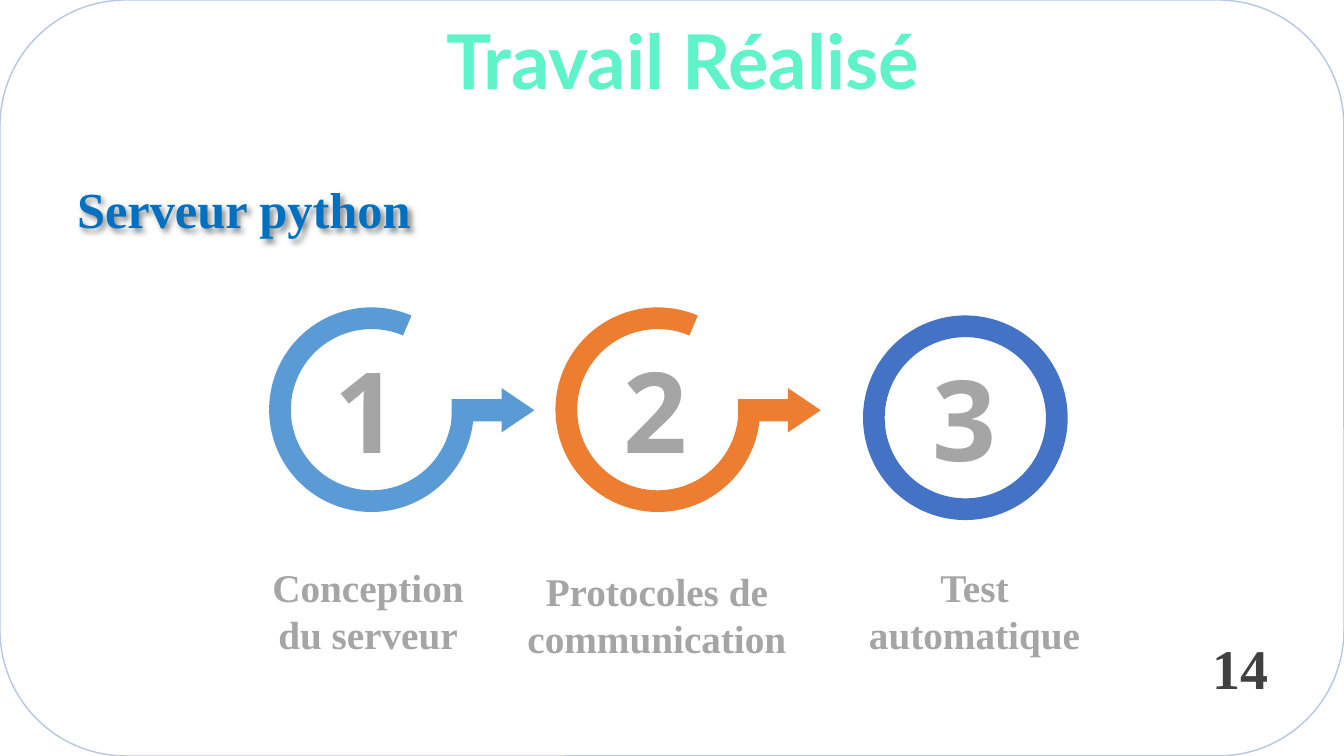
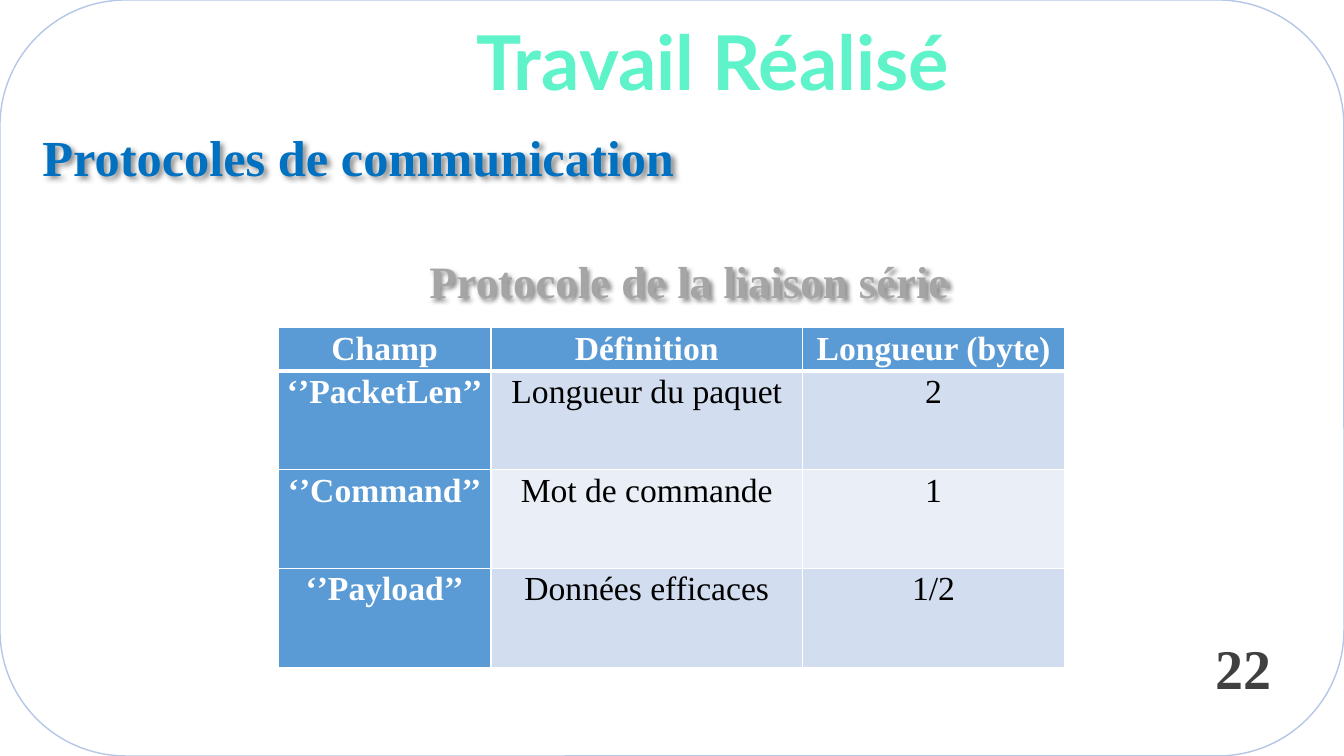
"""Build two slides on the Python server and its communication protocols."""
from dataclasses import dataclass

import pptx
import pptx.dml.color
import pptx.enum.shapes
import pptx.enum.text
import pptx.oxml
import pptx.oxml.ns
import pptx.util
from pptx.util import Inches

SHAPE = pptx.enum.shapes.MSO_SHAPE
ALIGN = pptx.enum.text.PP_ALIGN
ANCHOR = pptx.enum.text.MSO_ANCHOR
NAMESPACE = pptx.oxml.ns.nsdecls("a")


@dataclass(frozen=True)
class Theme:
    serif: str = "Times New Roman"
    title_font: str = "Lato"
    digit_font: str = "Open Sans"
    title: str = "5FF3CA"
    heading: str = "0070C0"
    grey: str = "A5A5A5"
    number: str = "404040"
    border: str = "B4C7E7"
    blue: str = "5B9BD5"
    orange: str = "ED7D31"
    indigo: str = "4472C4"
    white: str = "FFFFFF"
    black: str = "000000"
    band_dark: str = "D2DEEF"
    band_light: str = "EAEFF7"
    title_size: int = 54
    digit_size: int = 80
    number_size: int = 40
    heading_size: int = 36
    caption_size: int = 32
    label_size: int = 28
    table_size: int = 24


THEME = Theme()
WIDTH, HEIGHT = 13.33, 7.5
TITLE = "Travail Réalisé"

STEPS = [
    {"label": "Conception du serveur", "color": THEME.blue, "ring": (2.67, 3.05),
     "digit_left": 2.67, "label_at": (2.41, 5.54, 2.48, 1.04), "arrow": True},
    {"label": "Protocoles de communication", "color": THEME.orange, "ring": (5.51, 3.05),
     "digit_left": 5.54, "label_at": (5.11, 5.58, 2.81, 1.04), "arrow": True},
    {"label": "Test automatique", "color": THEME.indigo, "ring": (8.56, 3.13),
     "digit_left": 8.6, "label_at": (8.41, 5.54, 2.51, 1.04), "arrow": False},
]
RING_SIZE = 2.03
RING_END, RING_THICKNESS = 175.81, 0.106
OPEN_START, CLOSED_START = 215.7, 175.93

FIELDS = [
    ("Champ", "Définition", "Longueur (byte)"),
    ("‘’PacketLen’’", "Longueur du paquet", "2"),
    ("‘’Command’’", "Mot de commande", "1"),
    ("‘’Payload’’", "Données efficaces", "1/2"),
]
COLUMN_WIDTHS = (2.11, 3.09, 2.6)
HEADER_HEIGHT, ROW_HEIGHT = 0.42, 0.98


def rgb(color):
    return pptx.dml.color.RGBColor.from_string(color)


def inches(values):
    return [Inches(value) for value in values]


def style(para, size, color, font=THEME.serif, bold=True, align=ALIGN.CENTER):
    para.alignment = align
    para.font.name = font
    para.font.size = pptx.util.Pt(size)
    para.font.bold = bold
    para.font.color.rgb = rgb(color)


def add_text(page, at, text, size, color, font=THEME.serif, align=ALIGN.CENTER, wrap=True):
    box = page.shapes.add_textbox(*inches(at))
    box.text_frame.word_wrap = wrap
    box.text_frame.text = text
    style(box.text_frame.paragraphs[0], size, color, font, align=align)
    return box


def add_shadow(box, blur, distance):
    effect = (
        f'<a:effectLst {NAMESPACE}><a:outerShdw blurRad="{pptx.util.Pt(blur)}" '
        f'dist="{pptx.util.Pt(distance)}" dir="2700000" algn="tl" rotWithShape="0">'
        '<a:srgbClr val="000000"><a:alpha val="43000"/></a:srgbClr>'
        '</a:outerShdw></a:effectLst>'
    )
    box.element.spPr.append(pptx.oxml.parse_xml(effect))


def add_filled(shapes, kind, at, color, adjustments):
    shape = shapes.add_shape(kind, *inches(at))
    shape.shadow.inherit = False
    shape.fill.solid()
    shape.fill.fore_color.rgb = rgb(color)
    shape.line.fill.background()
    for index, value in enumerate(adjustments):
        shape.adjustments[index] = value


def add_page(deck, title_at, heading, heading_at, number, number_at):
    page = deck.slides.add_slide(deck.slide_layouts[5])
    border = page.shapes.add_shape(SHAPE.ROUNDED_RECTANGLE, *inches((0, 0, WIDTH, HEIGHT)))
    border.shadow.inherit = False
    border.fill.background()
    border.line.color.rgb = rgb(THEME.border)
    border.line.width = pptx.util.Pt(1)

    title = page.shapes.title
    title.left, title.top, title.width, title.height = inches(title_at)
    title.text_frame.text = TITLE
    title.text_frame.auto_size = pptx.enum.text.MSO_AUTO_SIZE.NONE
    title.text_frame.vertical_anchor = ANCHOR.TOP
    style(title.text_frame.paragraphs[0], THEME.title_size, THEME.title, THEME.title_font)

    box = add_text(page, heading_at, heading, THEME.heading_size, THEME.heading)
    frame = box.text_frame
    frame.margin_left = frame.margin_right = Inches(0.14)
    frame.margin_top = frame.margin_bottom = Inches(0.07)
    add_shadow(box, 4, 3)
    add_text(page, number_at, number, THEME.number_size, THEME.number, align=ALIGN.LEFT)
    return page


def add_step(page, number, step):
    left, top = step["ring"]
    group = page.shapes.add_group_shape()
    start = OPEN_START if step["arrow"] else CLOSED_START
    add_filled(group.shapes, SHAPE.BLOCK_ARC, (left, top, RING_SIZE, RING_SIZE),
               step["color"], (start, RING_END, RING_THICKNESS))
    if step["arrow"]:
        add_filled(group.shapes, SHAPE.RIGHT_ARROW, (left + 1.81, top + 0.8, 0.82, 0.44),
                   step["color"], (0.5, 0.738))
    add_text(page, (step["digit_left"], top + 0.29, 1.93, 1.45), str(number),
             THEME.digit_size, THEME.grey, THEME.digit_font)
    add_text(page, step["label_at"], step["label"], THEME.label_size, THEME.grey)


def set_borders(cell, top, bottom):
    properties = cell._tc.get_or_add_tcPr()
    for side, width in (("L", 1), ("R", 1), ("T", top), ("B", bottom)):
        properties.append(pptx.oxml.parse_xml(
            f'<a:ln{side} {NAMESPACE} w="{pptx.util.Pt(width)}"><a:solidFill>'
            f'<a:srgbClr val="{THEME.white}"/></a:solidFill></a:ln{side}>'))


def add_field_table(page, left, top):
    heights = [HEADER_HEIGHT] + [ROW_HEIGHT] * (len(FIELDS) - 1)
    at = (left, top, sum(COLUMN_WIDTHS), sum(heights))
    table = page.shapes.add_table(len(FIELDS), len(COLUMN_WIDTHS), *inches(at)).table
    for column, width in zip(table.columns, COLUMN_WIDTHS):
        column.width = Inches(width)
    for row, height in zip(table.rows, heights):
        row.height = Inches(height)
    for r, values in enumerate(FIELDS):
        for c, value in enumerate(values):
            cell = table.cell(r, c)
            is_head = r == 0 or c == 0
            band = THEME.band_dark if r % 2 else THEME.band_light
            set_borders(cell, 3 if r == 1 else 1, 3 if r == 0 else 1)
            cell.fill.solid()
            cell.fill.fore_color.rgb = rgb(THEME.blue if is_head else band)
            cell.margin_left = cell.margin_right = Inches(0.07)
            cell.margin_top = cell.margin_bottom = 0
            cell.text = value
            para = cell.text_frame.paragraphs[0]
            para.line_spacing = 1.07
            style(para, THEME.table_size, THEME.white if is_head else THEME.black, bold=is_head)


def main():
    deck = pptx.Presentation()
    deck.slide_width, deck.slide_height = inches((WIDTH, HEIGHT))

    server = add_page(deck, (2.42, 0.09, 8.7, 1.01), "Serveur python",
                      (0.31, 1.7, 4.22, 0.74), "14", (11.93, 6.24, 0.88, 0.77))
    for number, step in enumerate(STEPS, 1):
        add_step(server, number, step)

    protocols = add_page(deck, (1.59, 0.1, 10.96, 1.01), "Protocoles de communication",
                         (0, 1.18, 7.11, 0.74), "22", (11.96, 6.24, 0.97, 0.77))
    caption = add_text(protocols, (4.16, 2.47, 5.41, 0.64), "Protocole de la liaison série",
                       THEME.caption_size, THEME.grey, align=ALIGN.LEFT, wrap=False)
    add_shadow(caption, 3, 2)
    add_field_table(protocols, 2.76, 3.25)
    deck.save("out.pptx")


if __name__ == "__main__":
    main()
